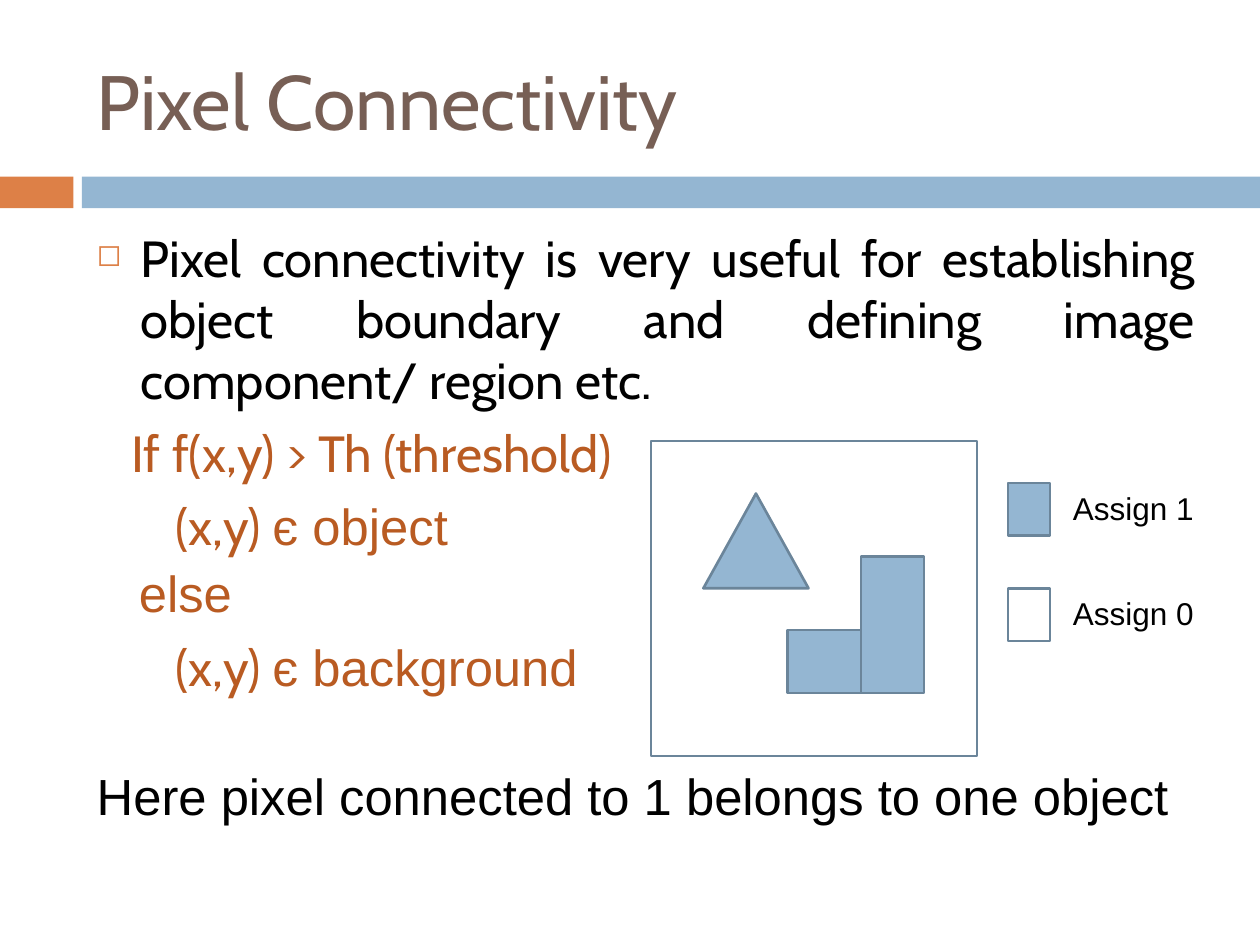
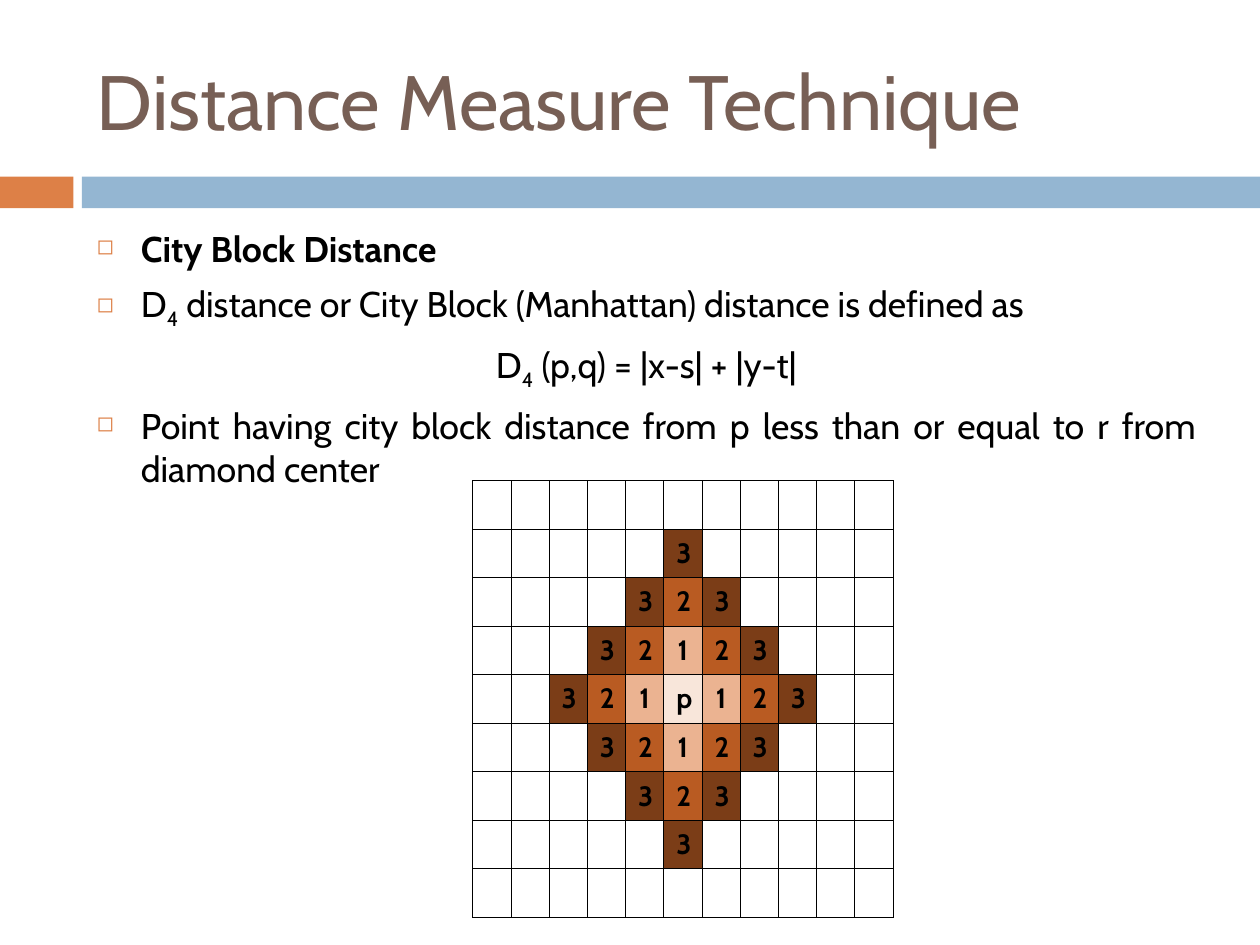
from lxml import etree
from pptx import Presentation, util as u
from pptx.dml import color
from pptx.enum import shapes, text
from pptx.oxml import ns

BLACK, RUST, ORANGE, BLUE, EDGE, BROWN = "000000", "B95B22", "DD8047", "94B6D2", "6B859A", "775F55"
MAIN, PLAIN = "Cabin", "Arial"
LEFT, WIDTH = 1.7, 22.66
HANG = 0.89
ALIGN = text.PP_ALIGN
RECT, TRIANGLE = shapes.MSO_SHAPE.RECTANGLE, shapes.MSO_SHAPE.ISOSCELES_TRIANGLE

BANDS = [(0, 1.48, ORANGE), (1.65, 23.75, BLUE)]
BAND_TOP, BAND_HEIGHT = 3.56, 0.64

CONNECTIVITY = [
    dict(spans=["Pixel connectivity is very useful for establishing object boundary "
                "and defining image component/ region etc."], bullet=True),
    dict(spans=["If f(x,y) > Th (threshold)"], indent=0.7, color=RUST),
    dict(spans=["(x,y) ", ("є object", PLAIN)], indent=1.58, color=RUST),
    dict(spans=[("else", PLAIN)], indent=0.85, color=RUST, spacing=0.9),
    dict(spans=["(x,y) ", ("є background", PLAIN)], indent=1.58, color=RUST),
    dict(spans=[("Here pixel connected to 1 belongs to one object", PLAIN)], before=43, spacing=0.9),
]
SCENE = [
    (RECT, 13.13, 8.89, 6.56, 6.35, None, 1),
    (TRIANGLE, 14.18, 9.95, 2.12, 1.91, BLUE, 1.5),
    (RECT, 15.88, 12.7, 2.33, 1.27, BLUE, 1.5),
    (RECT, 17.36, 11.22, 1.27, 2.75, BLUE, 1.5),
]
LEGEND = [("Assign 1", BLUE), ("Assign 0", None)]
LEGEND_TOP, LEGEND_STEP = 9.74, 2.12

CITY_BLOCK = [
    dict(spans=["City Block Distance"], bullet=True, bold=True),
    dict(spans=["D", ("4", MAIN, True), " distance or City Block (Manhattan) distance is defined as"],
         bullet=True),
    dict(spans=["D", ("4", MAIN, True), " (p,q) = |x-s| + |y-t|"], align=ALIGN.CENTER),
    dict(spans=["Point having city block distance from p less than or equal to r from diamond center"],
         bullet=True),
]
GRID_ROWS, GRID_COLUMNS = 9, 11
GRID_BOX = (9.53, 9.69, 8.47, 8.81)
RINGS = [("p", "F8E6DA"), ("1", "EBB391"), ("2", RUST), ("3", "7B3D17")]


def rgb(value):
    return color.RGBColor.from_string(value)


def lengths(*values):
    return [u.Cm(value) for value in values]


def add_figure(page, kind, box, fill=None, line_width=None):
    figure = page.shapes.add_shape(kind, *lengths(*box))
    figure.shadow.inherit = False
    if fill:
        figure.fill.solid()
        figure.fill.fore_color.rgb = rgb(fill)
    else:
        figure.fill.background()
    if line_width:
        figure.line.color.rgb = rgb(EDGE)
        figure.line.width = u.Pt(line_width)
    else:
        figure.line.fill.background()


def add_bullet(properties):
    bullet_color = etree.SubElement(properties, ns.qn("a:buClr"))
    etree.SubElement(bullet_color, ns.qn("a:srgbClr"), val=ORANGE)
    etree.SubElement(properties, ns.qn("a:buSzPct"), val="60000")
    etree.SubElement(properties, ns.qn("a:buChar"), char="◻")


def write_para(para, size, spans, align=ALIGN.JUSTIFY, bullet=False, indent=0, color=BLACK,
               bold=False, before=0, spacing=None):
    para.alignment = align
    para.space_before = u.Pt(before)
    if spacing:
        para.line_spacing = spacing
    properties = para._p.get_or_add_pPr()
    properties.set("marL", str(u.Cm(HANG if bullet else indent)))
    properties.set("indent", str(u.Cm(-HANG if bullet else 0)))
    if bullet:
        add_bullet(properties)
    para.font.size = u.Pt(size)
    para.font.bold = bold
    para.font.color.rgb = rgb(color)
    para.font.name = MAIN
    for item in spans:
        words, font, lowered = (*((item,) if isinstance(item, str) else item), MAIN, False)[:3] \
            if isinstance(item, str) else (*item, False)[:3]
        span = para.add_run()
        span.text = words
        span.font.name = font
        if lowered:
            span._r.get_or_add_rPr().set("baseline", "-25000")


def add_text(page, box, paras, size, anchor=text.MSO_ANCHOR.TOP):
    frame = page.shapes.add_textbox(*lengths(*box)).text_frame
    frame.word_wrap = True
    frame.vertical_anchor = anchor
    for index, content in enumerate(paras):
        para = frame.add_paragraph() if index else frame.paragraphs[0]
        write_para(para, size, **{"before": 7 if index else 0, **content})


def add_page(deck, title):
    page = deck.slides.add_slide(deck.slide_layouts[6])
    for left, width, fill in BANDS:
        add_figure(page, RECT, (left, BAND_TOP, width, BAND_HEIGHT), fill)
    heading = dict(spans=[title], align=ALIGN.LEFT, color=BROWN)
    add_text(page, (LEFT, 0.64, WIDTH, 2.74), [heading], 44, text.MSO_ANCHOR.MIDDLE)
    return page


def add_borders(cell):
    properties = cell._tc.get_or_add_tcPr()
    for side in ("lnL", "lnR", "lnT", "lnB"):
        line = etree.SubElement(properties, ns.qn(f"a:{side}"), w=str(u.Pt(0.45)))
        fill = etree.SubElement(line, ns.qn("a:solidFill"))
        etree.SubElement(fill, ns.qn("a:srgbClr"), val=BLACK)


def add_distance_grid(page):
    table = page.shapes.add_table(GRID_ROWS, GRID_COLUMNS, *lengths(*GRID_BOX)).table
    table.first_row = table.horz_banding = False
    for column in table.columns:
        column.width = u.Cm(GRID_BOX[2] / GRID_COLUMNS)
    for row in table.rows:
        row.height = u.Cm(GRID_BOX[3] / GRID_ROWS)
    for index, cell in enumerate(table.iter_cells()):
        row, column = divmod(index, GRID_COLUMNS)
        distance = abs(row - GRID_ROWS // 2) + abs(column - GRID_COLUMNS // 2)
        add_borders(cell)
        cell.margin_top = cell.margin_bottom = 0
        cell.vertical_anchor = text.MSO_ANCHOR.MIDDLE
        if distance < len(RINGS):
            label, fill = RINGS[distance]
            cell.fill.solid()
            cell.fill.fore_color.rgb = rgb(fill)
            write_para(cell.text_frame.paragraphs[0], 16, [label], ALIGN.CENTER, bold=True)
        else:
            cell.fill.background()


def main():
    deck = Presentation()
    deck.slide_width, deck.slide_height = lengths(25.4, 19.05)

    page = add_page(deck, "Pixel Connectivity")
    add_text(page, (LEFT, 4.45, WIDTH, 12.5), CONNECTIVITY, 29)
    for kind, *box, fill, line_width in SCENE:
        add_figure(page, kind, box, fill, line_width)
    for index, (label, fill) in enumerate(LEGEND):
        top = LEGEND_TOP + index * LEGEND_STEP
        add_figure(page, RECT, (20.32, top, 0.85, 1.06), fill, 1.5)
        caption = dict(spans=[(label, PLAIN)], align=ALIGN.LEFT)
        add_text(page, (21.38, top, 2.96, 1.02), [caption], 18)

    page = add_page(deck, "Distance Measure Technique")
    add_text(page, (LEFT, 4.45, WIDTH, 5.93), CITY_BLOCK, 20.4)
    add_distance_grid(page)

    deck.save("out.pptx")


if __name__ == "__main__":
    main()
